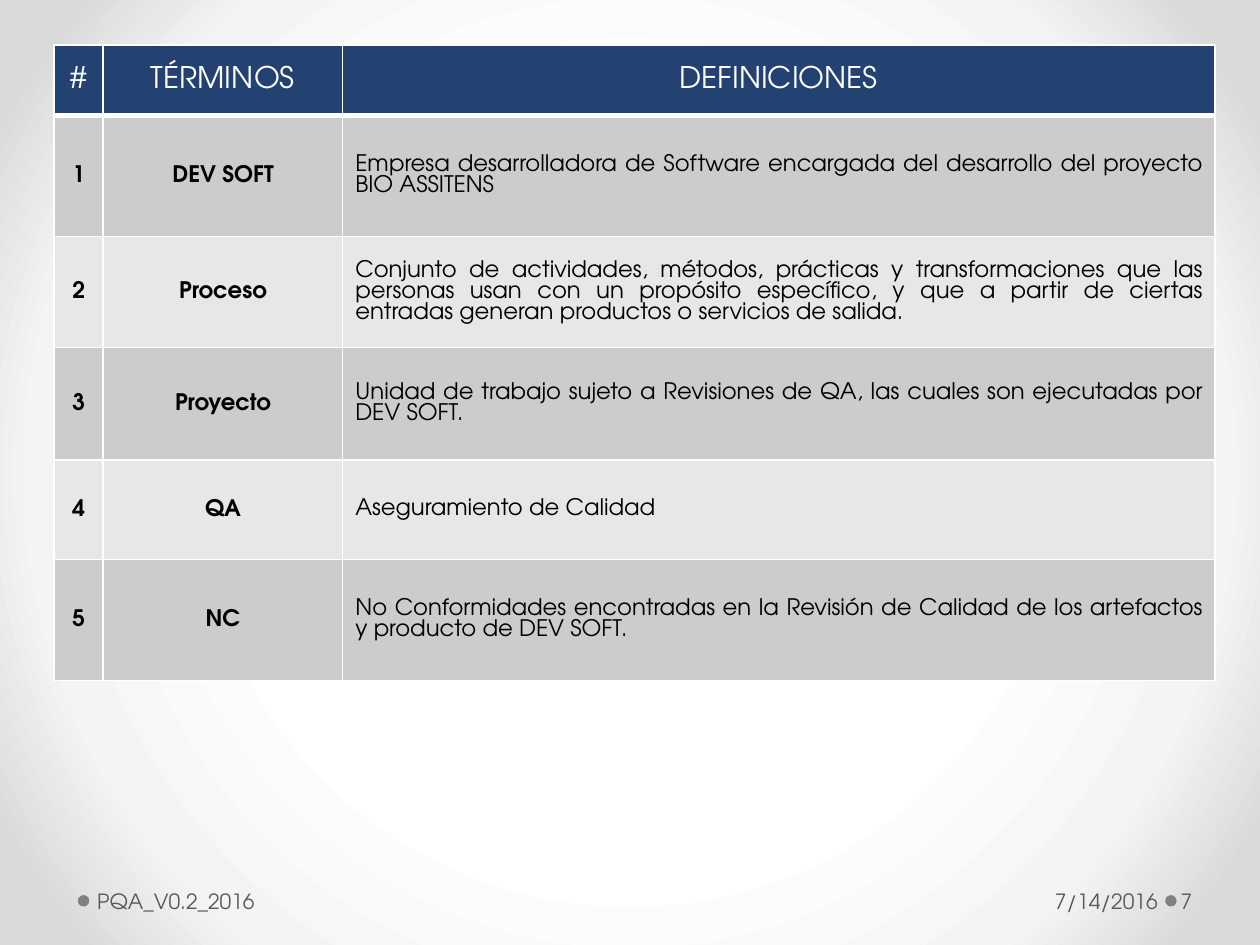
from pptx import Presentation
from pptx.dml.color import RGBColor
from pptx.enum.shapes import MSO_SHAPE as Shape
from pptx.enum.text import MSO_ANCHOR as Anchor, PP_ALIGN as Align
from pptx.oxml import parse_xml
from pptx.oxml.ns import nsdecls
from pptx.util import Cm, Pt

FONT = "TeX Gyre Adventor"
WHITE = RGBColor(0xFF, 0xFF, 0xFF)
BLACK = RGBColor(0x00, 0x00, 0x00)
NAVY = RGBColor(0x23, 0x42, 0x71)
DARK_BAND = RGBColor(0xCC, 0xCC, 0xCC)
LIGHT_BAND = RGBColor(0xE7, 0xE7, 0xE7)
FOOTER_GRAY = RGBColor(0x59, 0x59, 0x59)
DOT_GRAY = RGBColor(0x80, 0x80, 0x80)
GLOW_STOPS = [(50, WHITE), (76, RGBColor(0xF4, 0xF4, 0xF4)), (92, RGBColor(0xDA, 0xDA, 0xDA))]

HEADINGS = ["#", "TÉRMINOS", "DEFINICIONES"]
GLOSSARY = [
    ("DEV SOFT", "Empresa desarrolladora de Software encargada del desarrollo "
                 "del proyecto BIO ASSITENS"),
    ("Proceso", "Conjunto de actividades, métodos, prácticas y transformaciones que las "
                "personas usan con un propósito específico, y que a partir de ciertas "
                "entradas generan productos o servicios de salida."),
    ("Proyecto", "Unidad de trabajo sujeto a Revisiones de QA, las cuales son "
                 "ejecutadas por DEV SOFT."),
    ("QA", "Aseguramiento de Calidad"),
    ("NC", "No Conformidades encontradas en la Revisión de Calidad de los artefactos "
           "y producto de DEV SOFT."),
]
COLUMN_SHARES = [0.99, 4.83, 17.58]
ROW_SHARES = [1.42, 2.44, 2.24, 2.26, 2.01, 2.44]

HEADING_FORMAT = {"size": Pt(17), "bold": False}
TERM_FORMAT = {"size": Pt(13), "bold": True}
DEFINITION_FORMAT = {"size": Pt(13), "bold": False}
FOOTER_FORMAT = {"size": Pt(12), "bold": False}


def write(frame, text, font_format, color, align):
    paragraph = frame.paragraphs[0]
    paragraph.alignment = align
    run = paragraph.add_run()
    run.text = text
    run.font.name = FONT
    run.font.color.rgb = color
    for name, value in font_format.items():
        setattr(run.font, name, value)
    return paragraph


def paint_background(slide):
    fill = slide.background.fill
    fill.gradient()
    stops = "".join(
        f'<a:gs pos="{position * 1000}"><a:srgbClr val="{color}"/></a:gs>'
        for position, color in GLOW_STOPS
    )
    glow = parse_xml(
        f'<a:gradFill {nsdecls("a")} rotWithShape="1"><a:gsLst>{stops}</a:gsLst>'
        '<a:path path="circle"><a:fillToRect l="50000" t="50000" r="50000" b="50000"/>'
        "</a:path></a:gradFill>"
    )
    plain = slide.background._cSld.bg.bgPr.find(
        "{http://schemas.openxmlformats.org/drawingml/2006/main}gradFill")
    plain.getparent().replace(plain, glow)


def border(cell, bottom):
    properties = cell._tc.get_or_add_tcPr()
    widths = {"lnL": 1, "lnR": 1, "lnT": 1, "lnB": bottom}
    for position, (side, width) in enumerate(widths.items()):
        properties.insert(position, parse_xml(
            f'<a:{side} {nsdecls("a")} w="{Pt(width)}"><a:solidFill>'
            f'<a:srgbClr val="{WHITE}"/></a:solidFill></a:{side}>'
        ))


def add_glossary(slide, left, top, width, height):
    entries = [HEADINGS] + [(str(n), *entry) for n, entry in enumerate(GLOSSARY, 1)]
    table = slide.shapes.add_table(
        len(entries), len(HEADINGS), Cm(left), Cm(top), Cm(width), Cm(height)).table
    for column, share in zip(table.columns, COLUMN_SHARES):
        column.width = Cm(width * share / sum(COLUMN_SHARES))
    for row, share in zip(table.rows, ROW_SHARES):
        row.height = Cm(height * share / sum(ROW_SHARES))
    for r, entry in enumerate(entries):
        band = NAVY if r == 0 else (DARK_BAND if r % 2 else LIGHT_BAND)
        for c, text in enumerate(entry):
            cell = table.cell(r, c)
            cell.vertical_anchor = Anchor.MIDDLE
            cell.fill.solid()
            cell.fill.fore_color.rgb = band
            border(cell, 1 if r else 3)
            is_definition = r > 0 and c == 2
            body_format = DEFINITION_FORMAT if is_definition else TERM_FORMAT
            paragraph = write(
                cell.text_frame, text,
                body_format if r else HEADING_FORMAT,
                BLACK if r else WHITE,
                Align.JUSTIFY if is_definition else Align.CENTER)
            if r and c:
                paragraph.space_before = Pt(2.6)


def add_footer(slide, left, top, width, height):
    dot_size = 0.23
    for offset in (0, 21.92):
        dot = slide.shapes.add_shape(
            Shape.OVAL, Cm(left + offset), Cm(top + (height - dot_size) / 2),
            Cm(dot_size), Cm(dot_size))
        dot.shadow.inherit = False
        dot.fill.solid()
        dot.fill.fore_color.rgb = DOT_GRAY
        dot.line.fill.background()
    number_width = 1.55
    labels = [
        ("PQA_V0.2_2016", 0.26, 10.06, Align.LEFT, 0.13, 0.25),
        ("7/14/2016", 16.11, 5.79, Align.RIGHT, 0.25, 0.13),
        ("7", width - number_width, number_width, Align.LEFT, 0.08, 0.13),
    ]
    for text, offset, label_width, align, inset_left, inset_right in labels:
        frame = slide.shapes.add_textbox(
            Cm(left + offset), Cm(top), Cm(label_width), Cm(height)).text_frame
        frame_format = {
            "word_wrap": True,
            "vertical_anchor": Anchor.MIDDLE,
            "margin_left": Cm(inset_left),
            "margin_right": Cm(inset_right),
        }
        for name, value in frame_format.items():
            setattr(frame, name, value)
        write(frame, text, FOOTER_FORMAT, FOOTER_GRAY, align)


def main():
    deck = Presentation()
    deck.slide_width, deck.slide_height = Cm(25.4), Cm(19.05)
    slide = deck.slides.add_slide(deck.slide_layouts[6])
    paint_background(slide)
    add_glossary(slide, 1.09, 0.91, 23.4, 12.81)
    add_footer(slide, 1.57, 17.65, 23.7, 1.02)
    deck.save("out.pptx")


if __name__ == "__main__":
    main()
